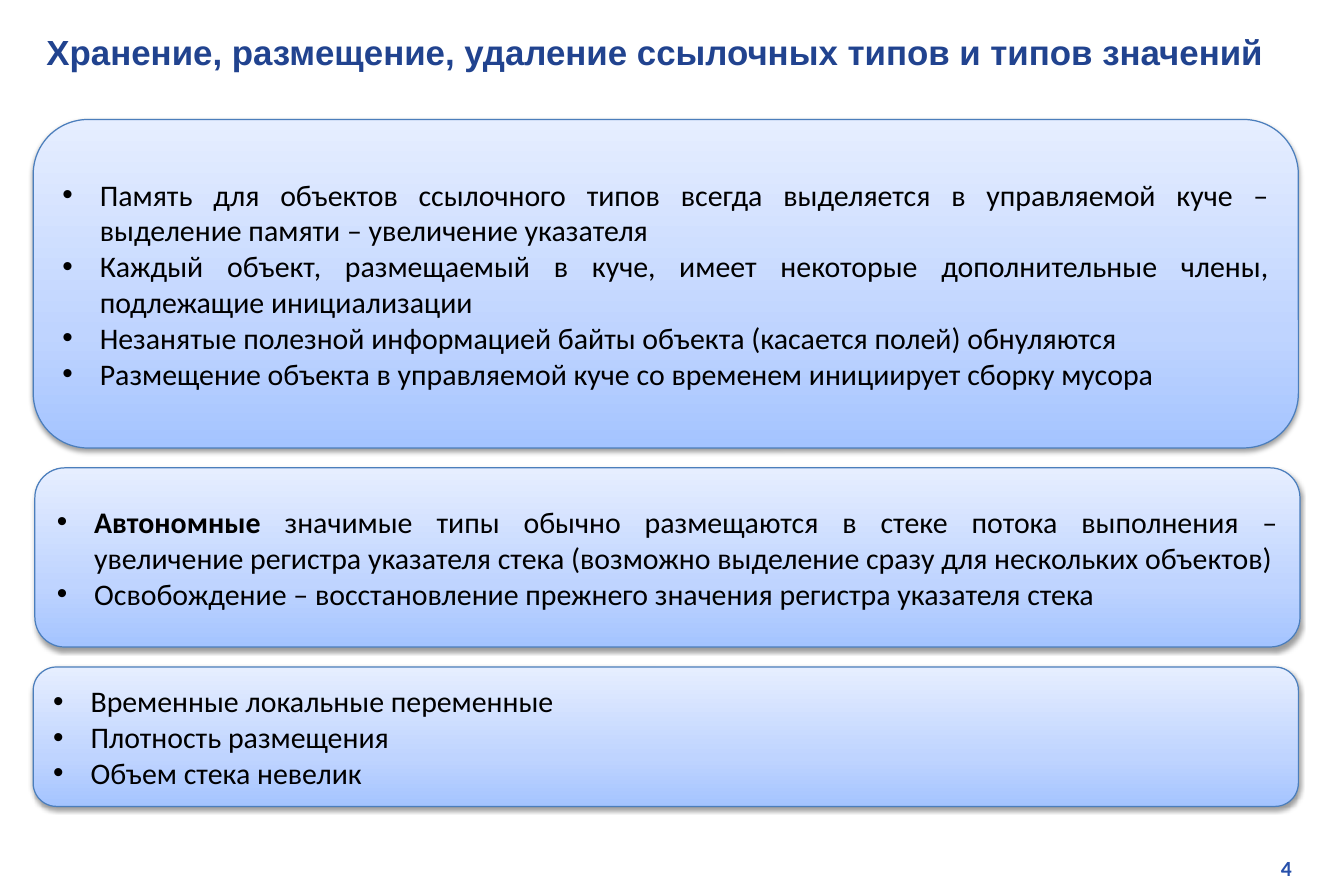
from lxml.etree import SubElement
from pptx import Presentation
from pptx.dml.color import RGBColor as RGB
from pptx.enum.shapes import MSO_SHAPE as SHAPE
from pptx.enum.text import MSO_ANCHOR as ANCHOR, MSO_AUTO_SIZE as AUTO, PP_ALIGN as ALIGN
from pptx.oxml.ns import qn
from pptx.util import Pt

# Content: each panel is (left, height, bullets); a bullet is (bold lead, text)
TITLE = "Хранение, размещение, удаление ссылочных типов и типов значений"
PAGE = "4"
PANELS = [
    (20, 198, [
        ("", "Память для объектов ссылочного типов всегда выделяется в управляемой куче – "
             "выделение памяти – увеличение указателя"),
        ("", "Каждый объект, размещаемый в куче, имеет некоторые дополнительные члены, "
             "подлежащие инициализации"),
        ("", "Незанятые полезной информацией байты объекта (касается полей) обнуляются"),
        ("", "Размещение объекта в управляемой куче со временем инициирует сборку мусора"),
    ]),
    (21, 108, [
        ("Автономные", " значимые типы обычно размещаются в стеке потока выполнения – "
                       "увеличение регистра указателя стека (возможно выделение сразу "
                       "для нескольких объектов)"),
        ("", "Освобождение – восстановление прежнего значения регистра указателя стека"),
    ]),
    (20, 84, [
        ("", "Временные локальные переменные"),
        ("", "Плотность размещения"),
        ("", "Объем стека невелик"),
    ]),
]
PANEL_TOP, PANEL_WIDTH, PANEL_GAP = 72, 762.5, 12
INDENT = 22.5


class Theme:
    title = {"name": "Arial", "size": Pt(21), "bold": True, "color": "21438F"}
    page = {"name": "Calibri", "size": Pt(13), "bold": True, "color": "2750AB"}
    body = {"name": "Calibri", "size": Pt(18), "bold": False, "color": "000000"}
    lead = {**body, "bold": True}
    outline = "4B7EBC"
    gradient = [(0, "A4C4FF"), (35, "BFD4FF"), (100, "E6EEFF")]
    shadow = "000000"


def add_run(p, text, style):
    r = p.add_run()
    r.text = text
    for key, value in style.items():
        if key == "color":
            r.font.color.rgb = RGB.from_string(value)
        else:
            setattr(r.font, key, value)


def format_frame(tf, anchor):
    frame = {"word_wrap": True, "auto_size": AUTO.NONE, "vertical_anchor": anchor,
             "margin_left": Pt(8), "margin_right": Pt(8),
             "margin_top": Pt(4), "margin_bottom": Pt(4)}
    for key, value in frame.items():
        setattr(tf, key, value)


def add_color(parent, color, alpha=None):
    clr = SubElement(parent, qn("a:srgbClr"), val=color)
    if alpha is not None:
        SubElement(clr, qn("a:alpha"), val=str(alpha * 1000))


def paint_panel(sp):
    sp.line.color.rgb = RGB.from_string(Theme.outline)
    sp.line.width = Pt(0.75)
    # Three-stop gradient, darkest at the bottom
    sp.fill.gradient()
    sp.fill.gradient_angle = 90
    spPr = sp._element.spPr
    stops = spPr.find(qn("a:gradFill")).find(qn("a:gsLst"))
    for gs in list(stops):
        stops.remove(gs)
    for pos, color in Theme.gradient:
        add_color(SubElement(stops, qn("a:gs"), pos=str(pos * 1000)), color)
    # Soft shadow below
    sp.shadow.inherit = False
    shadow = SubElement(spPr.find(qn("a:effectLst")), qn("a:outerShdw"),
                        blurRad=str(Pt(3.1)), dist=str(Pt(1.6)),
                        dir="5400000", rotWithShape="0")
    add_color(shadow, Theme.shadow, 38)


def add_bullet(p, lead, text):
    p.alignment = ALIGN.JUSTIFY
    pPr = p._p.get_or_add_pPr()
    pPr.set("marL", str(Pt(INDENT)))
    pPr.set("indent", str(Pt(-INDENT)))
    SubElement(pPr, qn("a:buFont"), typeface="Arial")
    SubElement(pPr, qn("a:buChar"), char="•")
    if lead:
        add_run(p, lead, Theme.lead)
    add_run(p, text, Theme.body)


def main():
    prs = Presentation()
    prs.slide_width, prs.slide_height = Pt(810), Pt(540)
    s = prs.slides.add_slide(prs.slide_layouts[5])

    # Title
    title = s.shapes.title
    title.left, title.top, title.width, title.height = Pt(20), Pt(14.4), Pt(767), Pt(28.8)
    format_frame(title.text_frame, ANCHOR.TOP)
    p = title.text_frame.paragraphs[0]
    p.alignment = ALIGN.LEFT
    add_run(p, TITLE, Theme.title)

    # Panels stacked with equal gaps
    top = PANEL_TOP
    for left, height, bullets in PANELS:
        sp = s.shapes.add_shape(SHAPE.ROUNDED_RECTANGLE, Pt(left), Pt(top),
                                Pt(PANEL_WIDTH), Pt(height))
        paint_panel(sp)
        tf = sp.text_frame
        format_frame(tf, ANCHOR.MIDDLE)
        for i, (lead, text) in enumerate(bullets):
            add_bullet(tf.add_paragraph() if i else tf.paragraphs[0], lead, text)
        top += height + PANEL_GAP

    # Page number
    tf = s.shapes.add_textbox(Pt(615), Pt(511), Pt(171.5), Pt(24.5)).text_frame
    format_frame(tf, ANCHOR.TOP)
    p = tf.paragraphs[0]
    p.alignment = ALIGN.RIGHT
    add_run(p, PAGE, Theme.page)

    prs.save("out.pptx")


if __name__ == "__main__":
    main()
